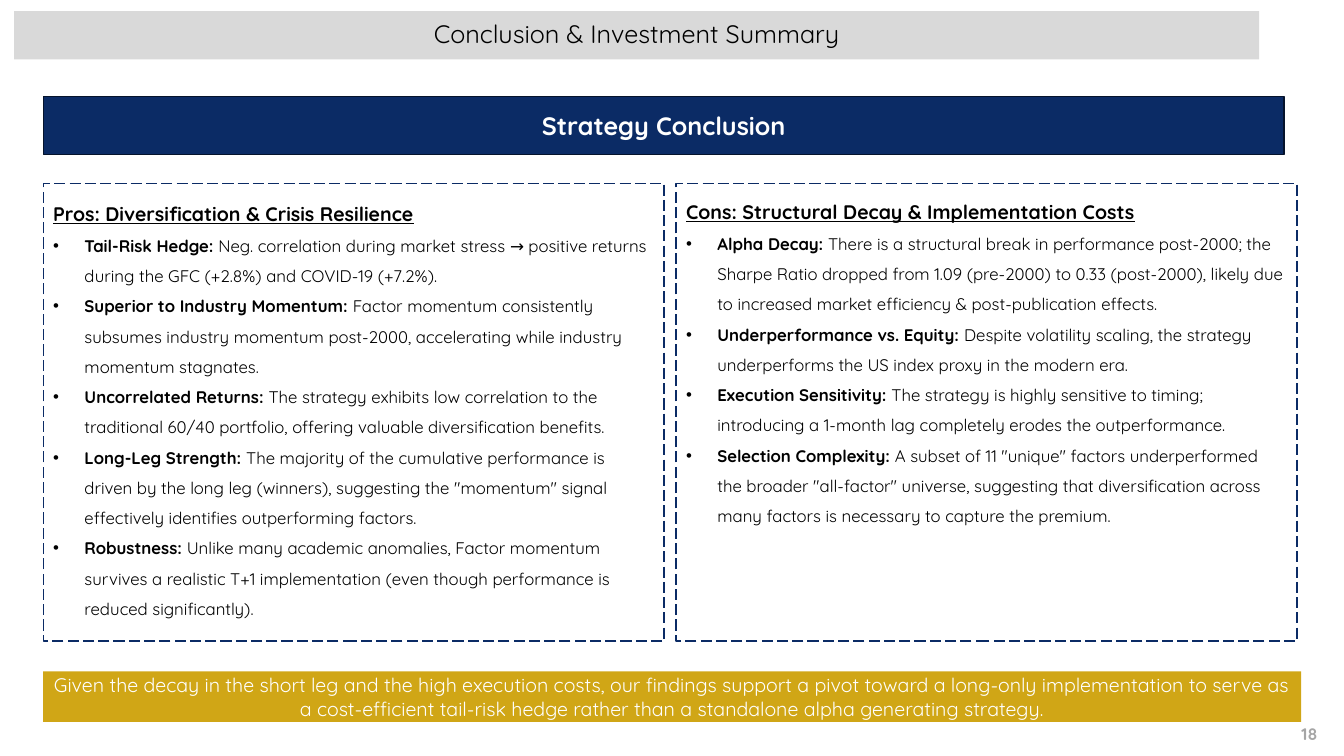
from pptx import Presentation
from pptx.dml.color import RGBColor
from pptx.enum.dml import MSO_LINE
from pptx.enum.shapes import MSO_SHAPE
from pptx.enum.text import MSO_ANCHOR, PP_ALIGN
from pptx.util import Cm, Pt
from lxml.etree import SubElement
from pptx.oxml.ns import qn

FONT = "Quicksand"
NAVY = "0B2B65"
BLACK = "000000"
WHITE = "FFFFFF"


def format_font(font, size, color, bold=False):
    font.name = FONT
    font.size = Pt(size)
    font.bold = bold
    font.color.rgb = RGBColor.from_string(color)


def add_box(left, top, width, height, fill=None, line=None):
    shape = slide.shapes.add_shape(
        MSO_SHAPE.RECTANGLE, Cm(left), Cm(top), Cm(width), Cm(height))
    shape.shadow.inherit = False
    if fill:
        shape.fill.solid()
        shape.fill.fore_color.rgb = RGBColor.from_string(fill)
    else:
        shape.fill.background()
    if line:
        shape.line.color.rgb = RGBColor.from_string(line)
        shape.line.width = Pt(1)
    else:
        shape.line.fill.background()
    return shape


presentation = Presentation()
presentation.slide_width = Cm(33.87)
presentation.slide_height = Cm(19.05)
slide = presentation.slides.add_slide(presentation.slide_layouts[6])

banners = [
    (0.36, 0.28, 31.37, 1.22, "D9D9D9", None, 18, BLACK, False, 0.9,
     "Conclusion & Investment Summary"),
    (1.09, 2.44, 31.27, 1.45, NAVY, "05132C", 18, WHITE, True, 1.0,
     "Strategy Conclusion"),
    (1.09, 16.92, 31.7, 1.27, "D0A616", None, 14, WHITE, False, 1.0,
     "Given the decay in the short leg and the high execution costs, our findings "
     "support a pivot toward a long-only implementation to serve as a cost-efficient "
     "tail-risk hedge rather than a standalone alpha generating strategy."),
]
for left, top, width, height, fill, line, size, color, bold, spacing, text in banners:
    banner = add_box(left, top, width, height, fill, line)
    banner.text_frame.word_wrap = True
    banner.text_frame.vertical_anchor = MSO_ANCHOR.MIDDLE
    banner.text_frame.text = text
    paragraph = banner.text_frame.paragraphs[0]
    paragraph.alignment = PP_ALIGN.CENTER
    paragraph.line_spacing = spacing
    format_font(paragraph.runs[0].font, size, color, bold)

panels = [
    (1.09, 4.67, "Pros: Diversification & Crisis Resilience", [
        ("Tail-Risk Hedge:",
         "Neg. correlation during market stress → positive returns during the GFC "
         "(+2.8%) and COVID-19 (+7.2%)."),
        ("Superior to Industry Momentum:",
         "Factor momentum consistently subsumes industry momentum post-2000, "
         "accelerating while industry momentum stagnates."),
        ("Uncorrelated Returns:",
         "The strategy exhibits low correlation to the traditional 60/40 portfolio, "
         "offering valuable diversification benefits."),
        ("Long-Leg Strength:",
         "The majority of the cumulative performance is driven by the long leg "
         "(winners), suggesting the \"momentum\" signal effectively identifies "
         "outperforming factors."),
        ("Robustness:",
         "Unlike many academic anomalies, Factor momentum survives a realistic T+1 "
         "implementation (even though performance is reduced significantly)."),
    ]),
    (17.04, 4.62, "Cons: Structural Decay & Implementation Costs", [
        ("Alpha Decay:",
         "There is a structural break in performance post-2000; the Sharpe Ratio "
         "dropped from 1.09 (pre-2000) to 0.33 (post-2000), likely due to increased "
         "market efficiency & post-publication effects."),
        ("Underperformance vs. Equity:",
         "Despite volatility scaling, the strategy underperforms the US index proxy "
         "in the modern era."),
        ("Execution Sensitivity:",
         "The strategy is highly sensitive to timing; introducing a 1-month lag "
         "completely erodes the outperformance."),
        ("Selection Complexity:",
         "A subset of 11 \"unique\" factors underperformed the broader \"all-factor\" "
         "universe, suggesting that diversification across many factors is necessary "
         "to capture the premium."),
    ]),
]
for left, text_top, heading, points in panels:
    frame = add_box(left, 4.62, 15.65, 11.53, line=NAVY)
    frame.line.dash_style = MSO_LINE.LONG_DASH

    text_box = slide.shapes.add_textbox(Cm(left), Cm(text_top), Cm(15.65), Cm(11.48))
    text_frame = text_box.text_frame
    text_frame.word_wrap = True
    text_frame.text = heading
    paragraph = text_frame.paragraphs[0]
    paragraph.line_spacing = 1.5
    format_font(paragraph.runs[0].font, 14, BLACK, True)
    paragraph.runs[0].font.underline = True

    for label, detail in points:
        paragraph = text_frame.add_paragraph()
        paragraph.line_spacing = 1.5
        properties = paragraph._p.get_or_add_pPr()
        properties.set("marL", str(Cm(0.79)))
        properties.set("indent", str(-Cm(0.79)))
        SubElement(properties, qn("a:buFont"), typeface="Arial")
        SubElement(properties, qn("a:buChar"), char="•")
        for text, bold in ((label + " ", True), (detail, False)):
            run = paragraph.add_run()
            run.text = text
            format_font(run.font, 12, BLACK, bold)

page_number = slide.shapes.add_textbox(Cm(31.72), Cm(18.11), Cm(1.73), Cm(0.76))
page_number.text_frame.word_wrap = True
page_number.text_frame.text = "18"
paragraph = page_number.text_frame.paragraphs[0]
paragraph.alignment = PP_ALIGN.RIGHT
format_font(paragraph.runs[0].font, 12, "A6A6A6", True)

presentation.save("out.pptx")
